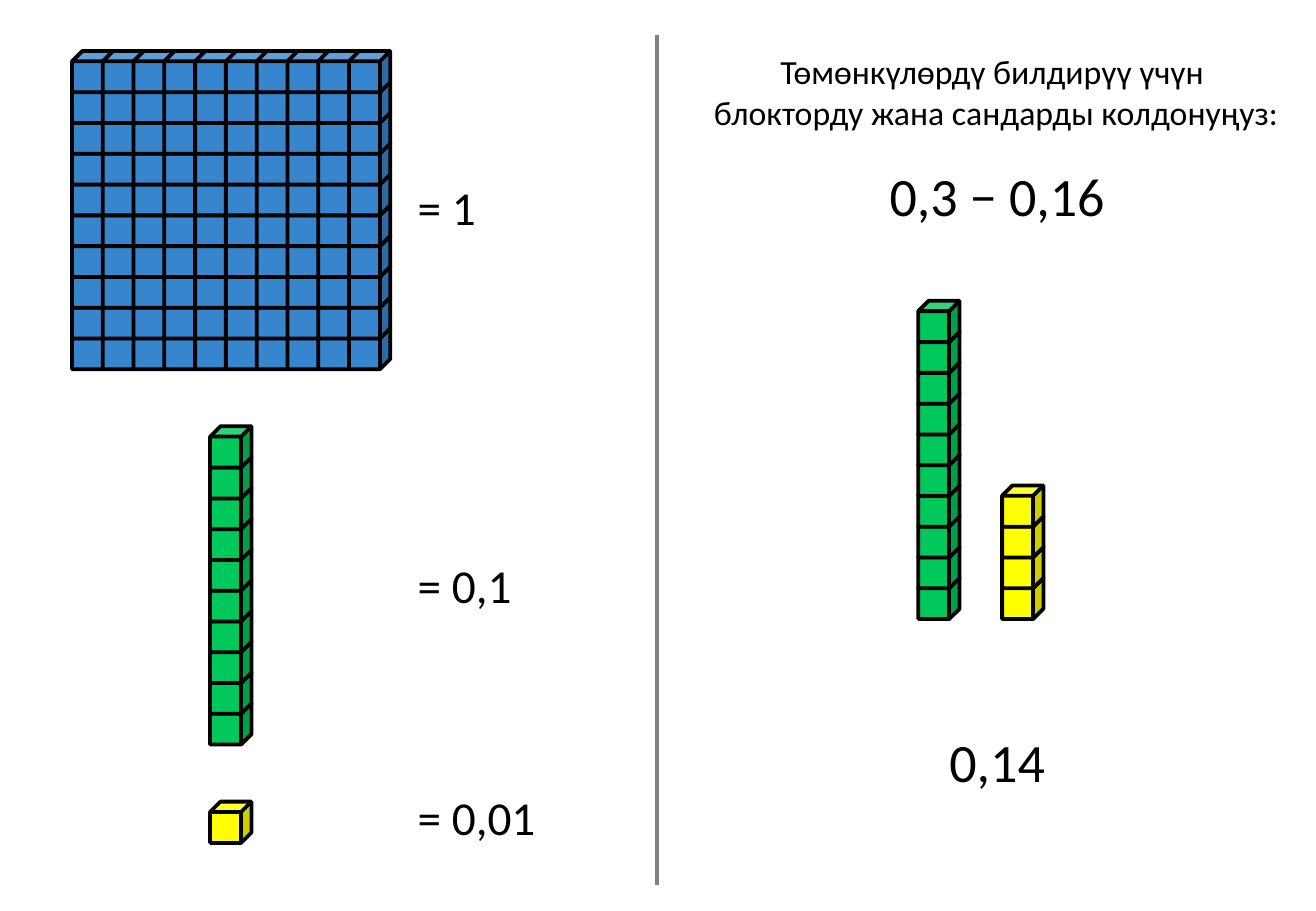
from pptx import Presentation
from pptx import util as u
from pptx.dml.color import RGBColor
from pptx.enum import shapes, text
from pptx.oxml.ns import qn
from lxml import etree

# Content: lengths in px, 300 px to the inch
PX = 3048
SLIDE = (3250, 2250)
FONT = "Calibri"
COLORS = {"one": "3786CD", "tenth": "00C85A", "hundredth": "FFFF00",
          "ink": "000000", "divider": "808080"}
CUBE, PITCH = 102, 76

HEADING = (["Төмөнкүлөрдү билдирүү үчүн ", "блокторду жана сандарды колдонуңуз:"],
           (1728, 111, 1464, 231))
LABELS = [  # text, box, size, centred
    ("= 1", (1002, 426, 207, 171), 28, False),
    ("= 0,1", (1002, 1359, 297, 171), 28, False),
    ("= 0,01", (1002, 1932, 357, 171), 28, False),
    ("0,3 − 0,16", (2163, 387, 600, 192), 32, True),
    ("0,14", (2313, 1785, 300, 192), 32, True),
]
BLOCKS = [  # kind, left, top, columns, rows
    ("one", 178, 126, 10, 10),
    ("tenth", 519, 1053, 1, 10),
    ("hundredth", 519, 1980, 1, 1),
    ("tenth", 2268, 743, 1, 10),
    ("hundredth", 2475, 1199, 1, 4),
]
DIVIDER = (1623, 87, 1623, 2187)


def emu(lengths):
    return [u.Emu(length * PX) for length in lengths]


def color(name):
    return RGBColor.from_string(COLORS[name])


def write(box, lines, size, centred=False):
    frame = box.text_frame
    frame.word_wrap = False
    frame.auto_size = text.MSO_AUTO_SIZE.SHAPE_TO_FIT_TEXT
    frame.vertical_anchor = text.MSO_ANCHOR.TOP
    for index, line in enumerate(lines):
        para = frame.paragraphs[0] if index == 0 else frame.add_paragraph()
        para.alignment = text.PP_ALIGN.CENTER if centred else text.PP_ALIGN.LEFT
        span = para.add_run()
        span.text = line
        span.font.name = FONT
        span.font.size = u.Pt(size)
        span.font.color.rgb = color("ink")


def stack_cubes(parent, kind, left, top, columns, rows):
    # Left to right and bottom to top, so that each cube hides the edge behind it
    for column in range(columns):
        for row in reversed(range(rows)):
            place = emu((left + column * PITCH, top + row * PITCH, CUBE, CUBE))
            cube = parent.add_shape(shapes.MSO_SHAPE.CUBE, *place)
            cube.shadow.inherit = False
            cube.fill.solid()
            cube.fill.fore_color.rgb = color(kind)
            cube.line.color.rgb = color("ink")
            cube.line.width = u.Pt(2.25)


deck = Presentation()
deck.slide_width, deck.slide_height = emu(SLIDE)
page = deck.slides.add_slide(deck.slide_layouts[5])

# Heading
title = page.shapes.title
lines, place = HEADING
title.left, title.top, title.width, title.height = emu(place)
write(title, lines, 20, centred=True)

# Blocks: one group for each stack
for kind, left, top, columns, rows in BLOCKS:
    many = columns * rows > 1
    parent = page.shapes.add_group_shape().shapes if many else page.shapes
    stack_cubes(parent, kind, left, top, columns, rows)

# Values and answer
for label, place, size, centred in LABELS:
    write(page.shapes.add_textbox(*emu(place)), [label], size, centred)

# Divider between the key and the task
divider = page.shapes.add_connector(shapes.MSO_CONNECTOR.STRAIGHT, *emu(DIVIDER))
divider.line.color.rgb = color("divider")
divider.line.width = u.Pt(2.25)
etree.SubElement(divider._element.spPr, qn("a:effectLst"))

deck.save("out.pptx")
